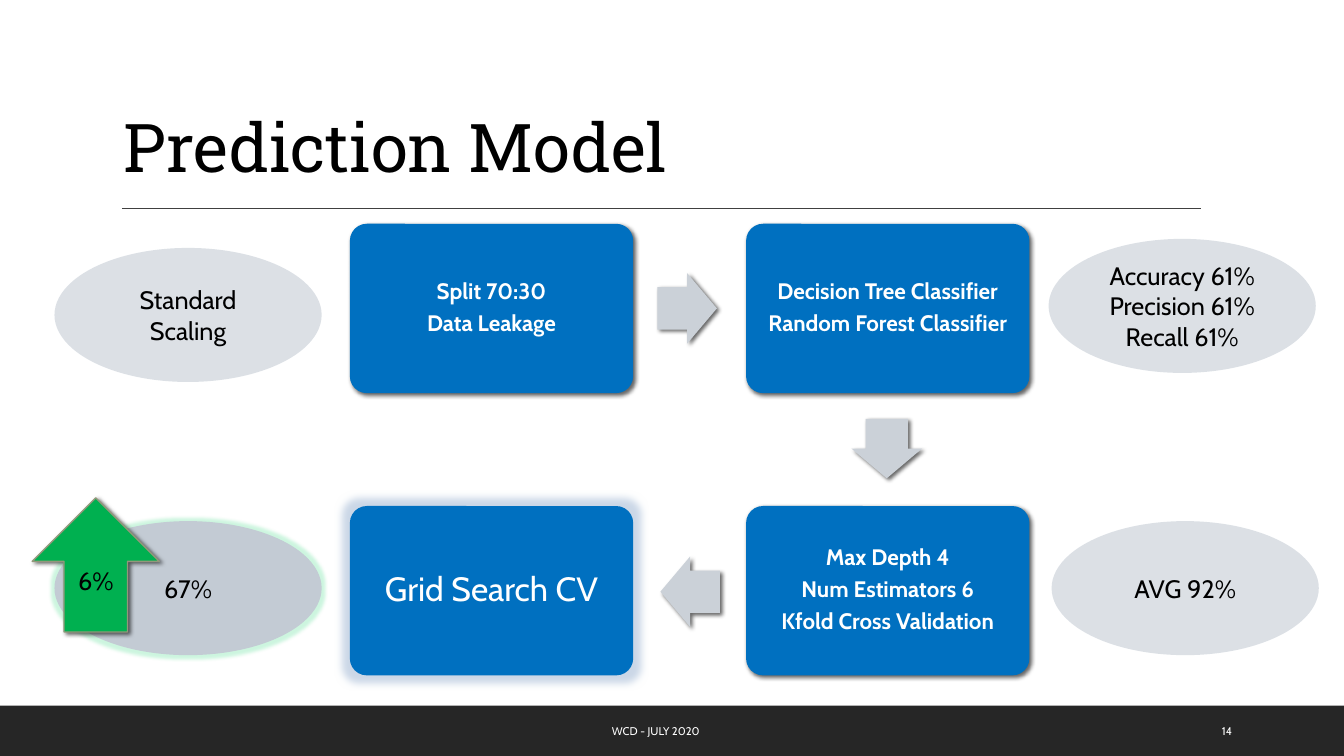
"""Build the Prediction Model slide: a four-step flow with its results."""
from lxml.etree import SubElement
from pptx import Presentation
from pptx.dml.color import RGBColor
from pptx.enum.shapes import MSO_CONNECTOR, MSO_SHAPE
from pptx.enum.text import MSO_ANCHOR, PP_ALIGN
from pptx.oxml import parse_xml
from pptx.oxml.ns import nsdecls, qn
from pptx.util import Inches, Pt

SHADE = (f'<a:outerShdw {nsdecls("a")} blurRad="38100" dist="25400" dir="2700000">'
         '<a:srgbClr val="000000"><a:alpha val="60000"/></a:srgbClr></a:outerShdw>')
GLOW = (f'<a:glow {nsdecls("a")} rad="%d"><a:srgbClr val="%s">'
        '<a:alpha val="%d"/></a:srgbClr></a:glow>')
BLUE_GLOW = GLOW % (139700, "7F9DC4", 40000)
GREEN_GLOW = GLOW % (63500, "00D060", 20000)

deck = Presentation()
deck.slide_width, deck.slide_height = Inches(13.33), Inches(7.5)
slide = deck.slides.add_slide(deck.slide_layouts[6])
shapes = slide.shapes


def draw(kind, box, fill, effect=None):
    shape = shapes.add_shape(kind, *map(Inches, box))
    shape.fill.solid()
    shape.fill.fore_color.rgb = RGBColor.from_string(fill)
    shape.line.fill.background()
    shape.shadow.inherit = False
    if effect:
        shape._element.spPr.find(qn("a:effectLst")).append(parse_xml(effect))
    return shape


def write(shape, lines, size, color, bold=False, align=PP_ALIGN.CENTER,
          font="Cabin", pitch=1, after=0):
    frame = shape.text_frame
    frame.word_wrap = True
    frame.vertical_anchor = MSO_ANCHOR.MIDDLE
    for i, line in enumerate(lines):
        para = frame.paragraphs[0] if i == 0 else frame.add_paragraph()
        para.alignment = align
        para.line_spacing = pitch
        para.space_after = Pt(after)
        run = para.add_run()
        run.text = line
        run.font.name = font
        run.font.size = Pt(size)
        run.font.bold = bold
        run.font.color.rgb = RGBColor.from_string(color)
    return frame


title = shapes.add_textbox(Inches(1.13), Inches(0.31), Inches(11), Inches(1.59))
frame = write(title, ["Prediction Model"], 48, "000000", align=PP_ALIGN.LEFT,
              font="Roboto Slab", pitch=0.9)
frame.vertical_anchor = MSO_ANCHOR.BOTTOM

rule = shapes.add_connector(MSO_CONNECTOR.STRAIGHT, Inches(1.21), Inches(2.07),
                            Inches(11.91), Inches(2.07))
rule.line.color.rgb = RGBColor.from_string("404040")
rule.line.width = Pt(1)
SubElement(rule._element.spPr, qn("a:effectLst"))

draw(MSO_SHAPE.RECTANGLE, (0, 7, 13.33, 0.5), "262626")

steps = [
    (3.47, 2.22, ["Split 70:30", "Data Leakage"], 16, True, SHADE),
    (7.4, 2.22, ["Decision Tree Classifier", "Random Forest Classifier"], 16, True, SHADE),
    (7.4, 5.02, ["Max Depth 4", "Num Estimators 6", "Kfold Cross Validation"],
     16, True, SHADE),
    (3.47, 5.02, ["Grid Search CV"], 24, False, BLUE_GLOW),
]
for left, top, lines, size, bold, effect in steps:
    card = draw(MSO_SHAPE.ROUNDED_RECTANGLE, (left, top, 2.81, 1.68), "0070C0", effect)
    card.adjustments[0] = 0.1
    write(card, lines, size, "FFFFFF", bold, pitch=0.9, after=size * 0.35)

for left, top, turn in [(6.52, 2.71, 0), (8.5, 4.1, 90), (6.55, 5.52, 180)]:
    arrow = draw(MSO_SHAPE.RIGHT_ARROW, (left, top, 0.59, 0.7), "CBD1D8", SHADE)
    arrow.adjustments[0] = 0.6
    arrow.adjustments[1] = 0.5
    arrow.rotation = turn

ovals = [
    (10.4, 2.37, ["Accuracy 61%", "Precision 61%", "Recall 61%"]),
    (0.54, 2.46, ["Standard Scaling"]),
    (10.43, 5.17, ["AVG 92%"]),
]
for left, top, lines in ovals:
    oval = draw(MSO_SHAPE.FLOWCHART_CONNECTOR, (left, top, 2.65, 1.33), "9BA8B7")
    tint = oval._element.spPr.find(qn("a:solidFill")).find(qn("a:srgbClr"))
    SubElement(tint, qn("a:alpha"), val="35000")
    write(oval, lines, 18, "000000")

score = draw(MSO_SHAPE.FLOWCHART_CONNECTOR, (0.54, 5.17, 2.65, 1.33), "C3CBD4", GREEN_GLOW)
write(score, ["67%"], 18, "000000")

gain = draw(MSO_SHAPE.UP_ARROW, (0.32, 4.94, 1.26, 1.33), "00B050", SHADE)
gain.line.color.rgb = RGBColor.from_string("92987A")
gain.line.width = Pt(1)
write(gain, ["6%"], 18, "000000")

for left, width, text in [(5.97, 5.83, "WCD - JULY 2020"), (12.02, 0.85, "14")]:
    note = shapes.add_textbox(Inches(left), Inches(7.05), Inches(width), Inches(0.4))
    write(note, [text], 8, "FFFFFF", align=PP_ALIGN.LEFT)

deck.save("out.pptx")
